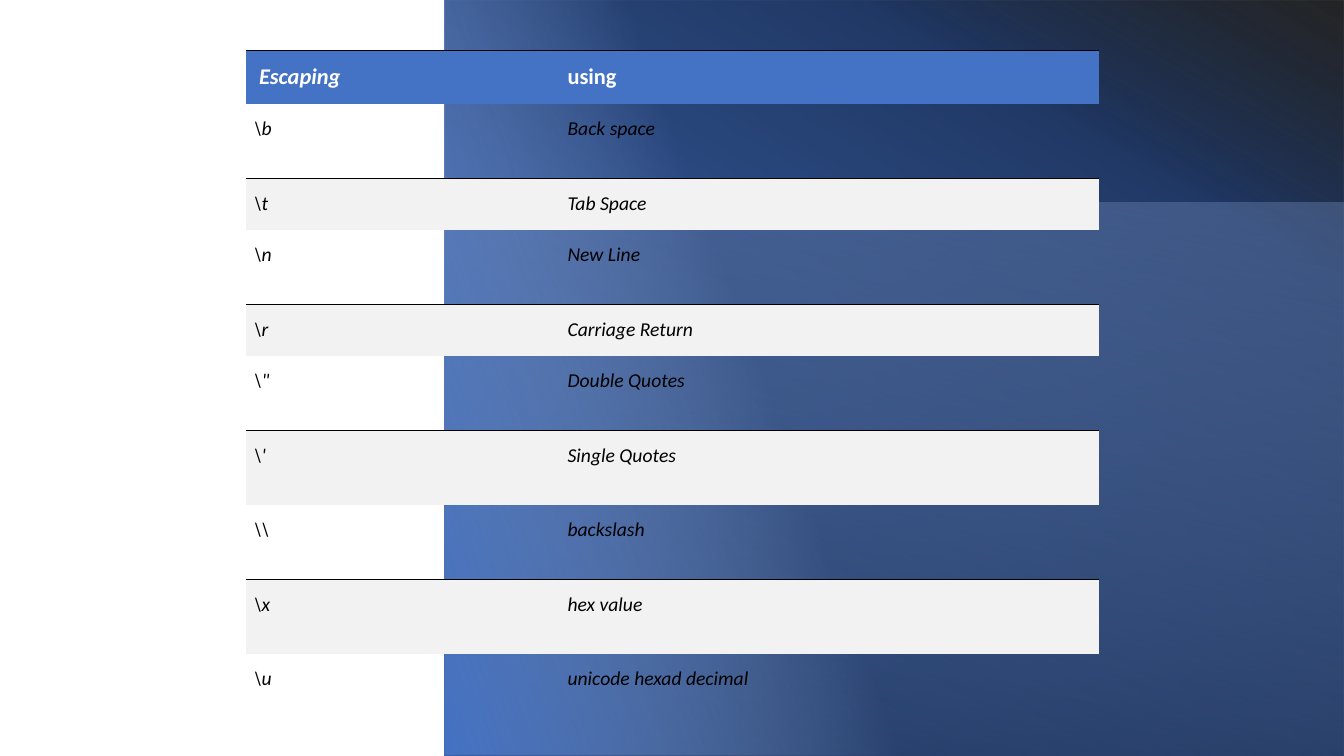
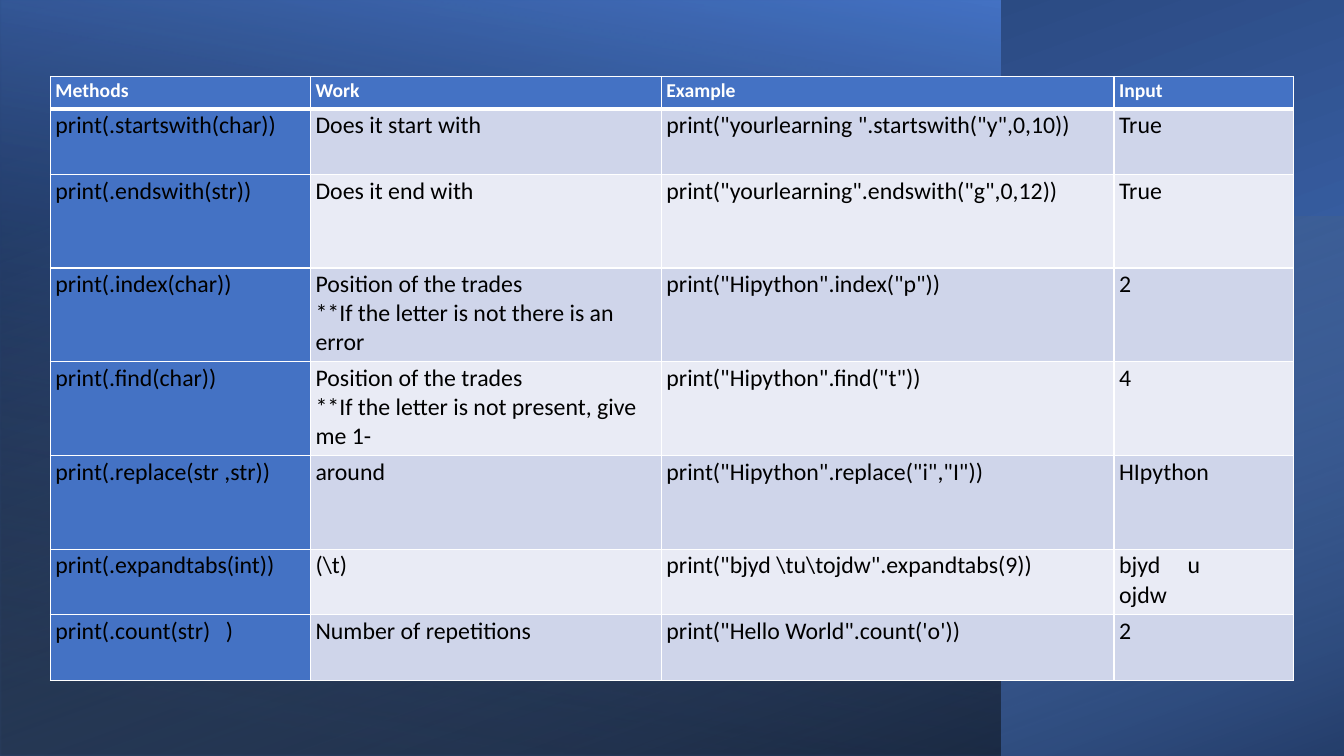
"""Build two table slides on layered gradient backdrops."""
import functools

import lxml.etree
import pptx
import pptx.dml.color
import pptx.enum.shapes
import pptx.enum.text
import pptx.oxml.ns
import pptx.util

SLIDE_WIDTH, SLIDE_HEIGHT = pptx.util.Inches(13.33), pptx.util.Inches(7.5)
FONT = "Calibri"
BLUE, NAVY, BLACK, WHITE = "4472C4", "203864", "000000", "FFFFFF"
PALE_BLUE, SKY_BLUE, PALE_GREY = "8FAADC", "9DC3E6", "F2F2F2"
BANDS = ("CFD5EA", "E9EBF5")
PLAIN_TABLE_STYLE = "{2D5ABB26-0587-4C30-8999-92F81FD0307C}"
EDGES = ("L", "R", "T", "B")

ESCAPES = [
    (" Escaping", "using"),
    (r"\b", "Back space"),
    (r"\t", "Tab Space"),
    (r"\n", "New Line"),
    (r"\r", "Carriage Return"),
    (r"\"", "Double Quotes"),
    (r"\'", "Single Quotes"),
    ("\\\\", "backslash"),
    (r"\x", "hex value"),
    (r"\u", "unicode hexad decimal"),
]
METHODS = [
    ("Methods", "Work", "Example", "Input"),
    ("print(.startswith(char))", "Does it start with",
     'print("yourlearning ".startswith("y",0,10))', "True"),
    ("print(.endswith(str))", "Does it end with",
     'print("yourlearning".endswith("g",0,12))', "True"),
    ("print(.index(char))",
     "Position of the trades\n**If the letter is not there is an error",
     'print("Hipython".index("p"))', "2"),
    ("print(.find(char))",
     "Position of the trades\n**If the letter is not present, give me 1-",
     'print("Hipython".find("t"))', "4"),
    ("print(.replace(str ,str))", "around",
     'print("Hipython".replace("i","I"))', "HIpython"),
    ("print(.expandtabs(int))", r"(\t)",
     r'print("bjyd \tu\tojdw".expandtabs(9))', "bjyd\tu\nojdw"),
    ("print(.count(str)\t)", "Number of repetitions",
     "print(\"Hello World\".count('o'))", "2"),
]
TAB_STOPS = {"bjyd\tu": 0.68, "print(.count(str)\t)": 1.69}


def rgb(colour):
    """Turn a hex string into a colour."""
    return pptx.dml.color.RGBColor.from_string(colour)


def add_element(parent, tag, **attributes):
    """Append a drawing element with the given attributes."""
    values = {name: str(value) for name, value in attributes.items()}
    return lxml.etree.SubElement(parent, pptx.oxml.ns.qn("a:" + tag), values)


def percent_box(left, top, width, height):
    """Turn percentages of the slide into lengths."""
    return (round(SLIDE_WIDTH * left / 100), round(SLIDE_HEIGHT * top / 100),
            round(SLIDE_WIDTH * width / 100), round(SLIDE_HEIGHT * height / 100))


def add_panel(slide, box, stops, angle, rotation=0, flip=False):
    """Cover a box with a gradient, turned inside it if asked."""
    left, top, width, height = percent_box(*box)
    if rotation % 180:
        left, top = left + (width - height) // 2, top + (height - width) // 2
        width, height = height, width
    panel = slide.shapes.add_shape(
        pptx.enum.shapes.MSO_SHAPE.RECTANGLE, left, top, width, height)
    panel.rotation = rotation
    panel.shadow.inherit = False
    panel.line.fill.background()
    properties = panel.element.spPr
    if flip:
        properties.xfrm.set("flipH", "1")
    gradient = add_element(properties, "gradFill", rotWithShape=1)
    properties.prstGeom.addnext(gradient)
    stop_list = add_element(gradient, "gsLst")
    for position, colour, opacity in stops:
        stop = add_element(stop_list, "gs", pos=position * 1000)
        tint = add_element(stop, "srgbClr", val=colour)
        if opacity < 100:
            add_element(tint, "alpha", val=opacity * 1000)
    add_element(gradient, "lin", ang=angle * 60000, scaled=0)


def set_borders(cell, borders):
    """Draw the listed cell edges and clear the others."""
    properties = cell._tc.get_or_add_tcPr()
    for index, edge in enumerate(EDGES):
        colour, points = borders.get(edge, (None, 0))
        line = add_element(properties, "ln" + edge, w=pptx.util.Pt(points))
        properties.insert(index, line)
        if colour:
            add_element(add_element(line, "solidFill"), "srgbClr", val=colour)
        else:
            add_element(line, "noFill")


def write_cell(cell, text, size, colour, bold=False, italic=False):
    """Write one paragraph for each line of the text."""
    for index, line in enumerate(text.split("\n")):
        frame = cell.text_frame
        paragraph = frame.add_paragraph() if index else frame.paragraphs[0]
        if line in TAB_STOPS:
            tabs = add_element(paragraph._p.get_or_add_pPr(), "tabLst")
            add_element(tabs, "tab", pos=pptx.util.Inches(TAB_STOPS[line]), algn="l")
        run = paragraph.add_run()
        run.text = line
        run.font.name, run.font.size = FONT, pptx.util.Pt(size)
        run.font.bold, run.font.italic = bold, italic
        run.font.color.rgb = rgb(colour)


def add_grid(slide, box, column_shares, row_shares, rows, style_cell):
    """Place a table whose columns and rows share out the box."""
    left, top, width, height = percent_box(*box)
    table = slide.shapes.add_table(
        len(rows), len(column_shares), left, top, width, height).table
    table._tbl.tblPr.find(pptx.oxml.ns.qn("a:tableStyleId")).text = PLAIN_TABLE_STYLE
    for column, share in zip(table.columns, column_shares):
        column.width = round(width * share / sum(column_shares))
    for row, share in zip(table.rows, row_shares):
        row.height = round(height * share / sum(row_shares))
    for row_index, texts in enumerate(rows):
        for column_index, text in enumerate(texts):
            style_cell(table.cell(row_index, column_index), text, row_index, column_index)


def format_cell(cell, margins, fill, borders):
    """Set the margins, fill and edges of a cell."""
    (cell.margin_left, cell.margin_top, cell.margin_right,
     cell.margin_bottom) = map(pptx.util.Inches, margins)
    if fill:
        cell.fill.solid()
        cell.fill.fore_color.rgb = rgb(fill)
    else:
        cell.fill.background()
    set_borders(cell, borders)


def style_escape_cell(cell, text, row, column, last_row):
    """Style a cell of the escape table, ruled under every open row."""
    rule = (BLACK, 1)
    if row == 0:
        format_cell(cell, (0.08, 0.11, 0.06, 0.11), BLUE, {"T": rule})
        cell.vertical_anchor = pptx.enum.text.MSO_ANCHOR.MIDDLE
        write_cell(cell, text, 16, WHITE, bold=True, italic=column == 0)
        return
    is_open = row % 2 == 1
    borders = {"B": rule} if is_open and row < last_row else {}
    if not is_open:
        borders = {"T": rule}
    format_cell(cell, (0.08, 0.13, 0.06, 0.11), None if is_open else PALE_GREY, borders)
    write_cell(cell, text, 14, BLACK, italic=True)


def style_method_cell(cell, text, row, column):
    """Style a cell of the method table, with a blue first row and column."""
    borders = dict.fromkeys(EDGES, (WHITE, 1))
    if row < 2:
        borders["T" if row else "B"] = (WHITE, 3)
    fill = BLUE if row == 0 or column == 0 else BANDS[(row - 1) % 2]
    format_cell(cell, (0.05, 0.02, 0.05, 0.02), fill, borders)
    if row == 0:
        write_cell(cell, text, 14, WHITE, bold=True)
    else:
        write_cell(cell, text, 17, BLACK)


def build_escape_slide(slide):
    """Build the slide on escape sequences."""
    add_panel(slide, (33.1, 0, 66.9, 100),
              [(2, BLUE, 100), (78, NAVY, 100), (100, BLACK, 85)], 300)
    add_panel(slide, (33.1, 26.8, 66.9, 73.2),
              [(0, PALE_BLUE, 30), (100, BLACK, 44)], 80, flip=True)
    add_panel(slide, (33.1, 0, 56.8, 100),
              [(56, PALE_BLUE, 0), (100, BLUE, 100)], 110, rotation=90, flip=True)
    add_grid(slide, (18.3, 6.67, 63.47, 86.67), (3.11, 5.35),
             (0.53, 0.74, 0.51, 0.74, 0.51, 0.74, 0.74, 0.74, 0.74, 0.51), ESCAPES,
             functools.partial(style_escape_cell, last_row=len(ESCAPES) - 1))


def build_method_slide(slide):
    """Build the slide on string methods."""
    add_panel(slide, (0, 0, 100, 100),
              [(8, BLUE, 100), (100, NAVY, 100)], 200, rotation=270, flip=True)
    add_panel(slide, (0, 0, 74.4, 100),
              [(8, BLACK, 52), (100, BLUE, 100)], 80, rotation=180, flip=True)
    add_panel(slide, (0, 28.7, 100, 71.3),
              [(0, SKY_BLUE, 0), (100, BLACK, 46)], 20, rotation=270, flip=True)
    add_grid(slide, (3.75, 10.13, 92.5, 79.87), (2.58, 3.48, 4.49, 1.78),
             (0.32, 0.65, 0.93, 0.93, 0.93, 0.93, 0.65, 0.65), METHODS, style_method_cell)


def main():
    """Build and save the presentation."""
    presentation = pptx.Presentation()
    presentation.slide_width, presentation.slide_height = SLIDE_WIDTH, SLIDE_HEIGHT
    for build in (build_escape_slide, build_method_slide):
        build(presentation.slides.add_slide(presentation.slide_layouts[6]))
    presentation.save("out.pptx")


if __name__ == "__main__":
    main()
